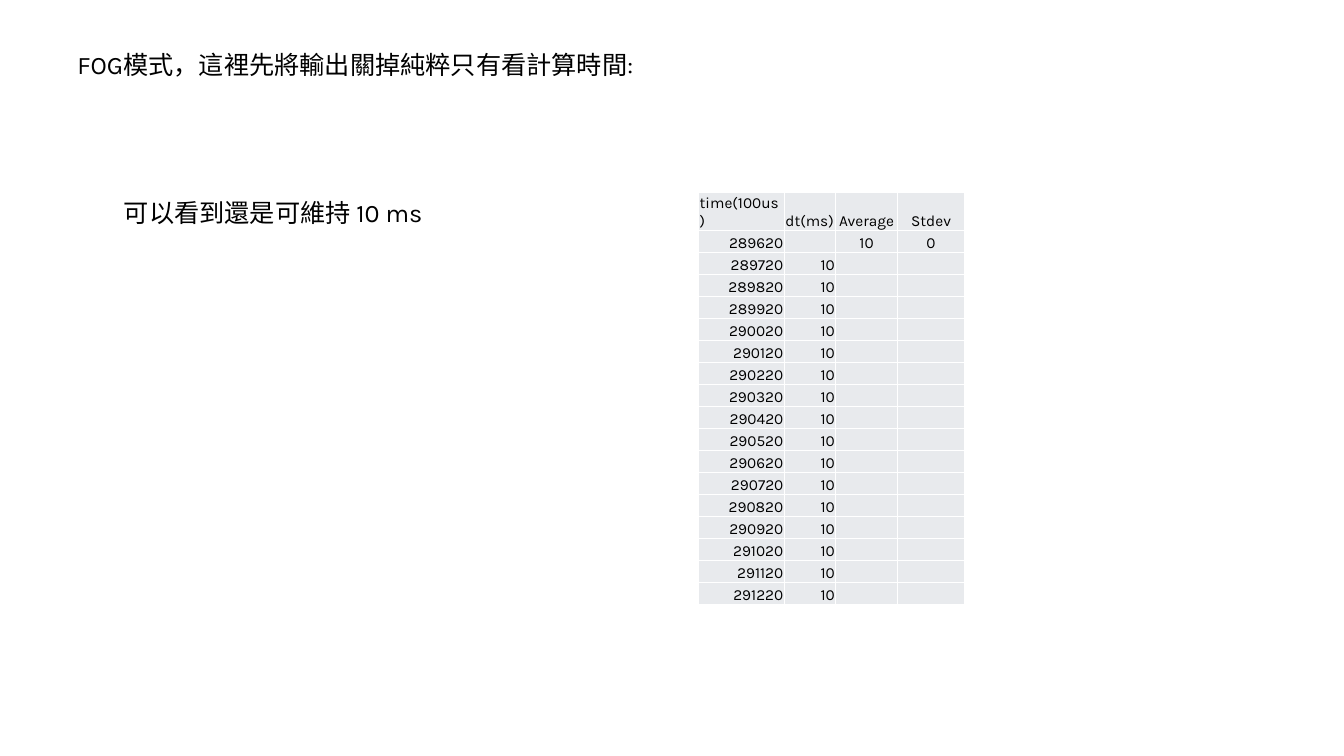
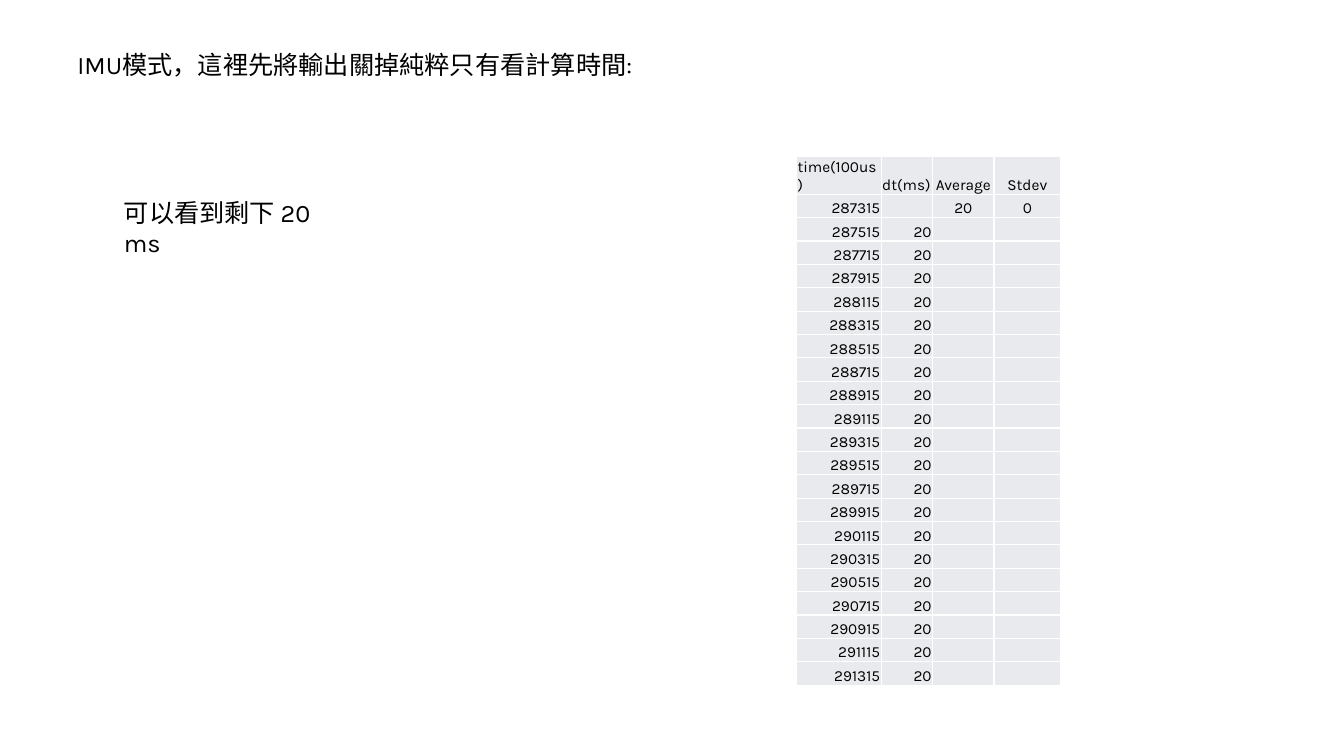
from lxml import etree
from pptx import Presentation
from pptx.dml.color import RGBColor
from pptx.enum import text
from pptx.oxml.ns import qn
from pptx.util import Inches, Pt

FONT = "Karla"
INK, CELL, RULE = "000000", "E8EAED", "FFFFFF"
HEADERS = ("time(100us)", "dt(ms)", "Average", "Stdev")
HEADER_HEIGHT = 0.37
LEFT, CENTER, RIGHT = (text.PP_ALIGN.LEFT, text.PP_ALIGN.CENTER,
                       text.PP_ALIGN.RIGHT)
HEADER_ALIGN = (LEFT, LEFT, CENTER, CENTER)
VALUE_ALIGN = (RIGHT, RIGHT, CENTER, CENTER)


def color(value):
    return RGBColor.from_string(value)


def add_run(p, content, size):
    r = p.add_run()
    r.text = content
    r.font.size = Pt(size)
    r.font.name = FONT
    r.font.color.rgb = color(INK)


def add_text(s, content, left, top, width, wrap):
    sp = s.shapes.add_textbox(Inches(left), Inches(top),
                              Inches(width), Inches(0.4))
    tf = sp.text_frame
    tf.word_wrap = wrap
    tf.auto_size = text.MSO_AUTO_SIZE.SHAPE_TO_FIT_TEXT
    add_run(tf.paragraphs[0], content, 18)


def set_borders(cell):
    tc_pr = cell._tc.get_or_add_tcPr()
    for i, side in enumerate(("lnL", "lnR", "lnT", "lnB")):
        line = etree.Element(qn(f"a:{side}"), w=str(Pt(1)))
        fill = etree.SubElement(line, qn("a:solidFill"))
        etree.SubElement(fill, qn("a:srgbClr"), val=RULE)
        tc_pr.insert(i, line)


def fill_cell(cell, content, align):
    cell.margin_left = cell.margin_right = cell.margin_top = Inches(0.01)
    cell.margin_bottom = 0
    cell.vertical_anchor = text.MSO_ANCHOR.BOTTOM
    cell.fill.solid()
    cell.fill.fore_color.rgb = color(CELL)
    set_borders(cell)
    p = cell.text_frame.paragraphs[0]
    p.alignment = align
    if content:
        add_run(p, content, 11)
    else:
        # An empty cell needs its own small size to keep the row low.
        etree.SubElement(p._p, qn("a:endParaRPr"), sz="1100")


def timing_rows(first, last, period):
    """Timestamps are in 100 us ticks, so one ms is ten ticks."""
    times = range(first, last + 1, period * 10)
    rows = [(str(first), "", str(period), "0")]
    return rows + [(str(t), str(period), "", "") for t in times[1:]]


def add_timing_table(s, rows, left, top, widths, body_height):
    frame = s.shapes.add_table(len(rows) + 1, len(HEADERS),
                               Inches(left), Inches(top), Inches(sum(widths)),
                               Inches(HEADER_HEIGHT + body_height))
    table = frame.table
    table.first_row = table.horz_banding = False
    for column, width in zip(table.columns, widths):
        column.width = Inches(width)
    for i, values in enumerate([HEADERS] + rows):
        table.rows[i].height = Inches(
            body_height / len(rows) if i else HEADER_HEIGHT)
        aligns = VALUE_ALIGN if i else HEADER_ALIGN
        for j, (value, align) in enumerate(zip(values, aligns)):
            fill_cell(table.cell(i, j), value, align)


def add_mode_slide(prs, mode, title_width, note, note_width, rows, **place):
    s = prs.slides.add_slide(prs.slide_layouts[6])
    add_text(s, f"{mode}模式，這裡先將輸出關掉純粹只有看計算時間:",
             0.67, 0.44, title_width, False)
    add_timing_table(s, rows, **place)
    add_text(s, note, 1.13, 1.91, note_width, True)


def main():
    prs = Presentation()
    prs.slide_width, prs.slide_height = Inches(13.33), Inches(7.5)
    add_mode_slide(prs, "FOG", 5.82, "可以看到還是可維持 10 ms", 3.18,
                   timing_rows(289620, 291220, 10), left=6.93, top=1.91,
                   widths=(0.85, 0.51, 0.61, 0.67), body_height=3.71)
    add_mode_slide(prs, "IMU", 5.76, "可以看到剩下 20 ms", 2.43,
                   timing_rows(287315, 291315, 20), left=7.9, top=1.55,
                   widths=(0.84, 0.51, 0.61, 0.66), body_height=4.87)
    prs.save("out.pptx")


if __name__ == "__main__":
    main()
